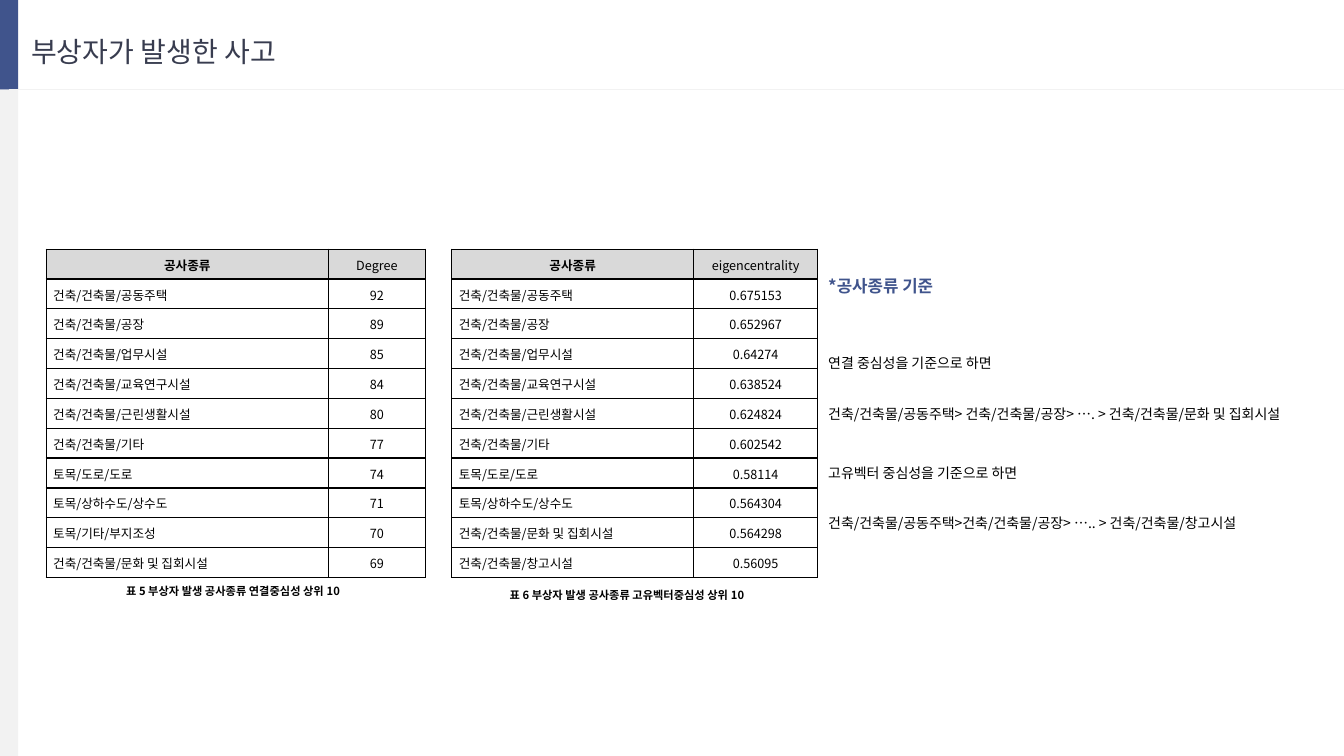
from lxml.etree import SubElement
from pptx import Presentation
from pptx.dml.color import RGBColor
from pptx.enum.shapes import MSO_CONNECTOR, MSO_SHAPE
from pptx.enum.text import MSO_ANCHOR, MSO_AUTO_SIZE, PP_ALIGN
from pptx.oxml.ns import qn
from pptx.util import Pt

FONT = "Noto Sans CJK KR"
NAVY, PALE, BLACK = "40548C", "F2F2F2", "000000"


def color(hex_value):
    return RGBColor.from_string(hex_value)


def style(paragraph, size, hex_value=BLACK, bold=False, align=PP_ALIGN.LEFT):
    """Format a paragraph, giving Korean text the same face as Latin text."""
    paragraph.alignment = align
    font = paragraph.font
    font.name, font.size, font.bold = FONT, Pt(size), bold
    font.color.rgb = color(hex_value)
    defaults = paragraph._p.get_or_add_pPr().get_or_add_defRPr()
    SubElement(defaults, qn("a:ea"), typeface=FONT)


prs = Presentation()
prs.slide_width, prs.slide_height = Pt(960), Pt(540)
slide = prs.slides.add_slide(prs.slide_layouts[5])
shapes = slide.shapes

# Side bar and header rule
for top, height, fill in [(0, 64, NAVY), (64, 476, PALE)]:
    bar = shapes.add_shape(MSO_SHAPE.RECTANGLE, 0, Pt(top), Pt(13), Pt(height))
    bar.shadow.inherit = False
    bar.fill.solid()
    bar.fill.fore_color.rgb = color(fill)
    bar.line.fill.background()

rule = shapes.add_connector(MSO_CONNECTOR.STRAIGHT, Pt(6.5), Pt(64), Pt(960), Pt(64))
rule.line.color.rgb = color(PALE)
rule.line.width = Pt(0.5)
SubElement(rule._element.spPr, qn("a:effectLst"))

# Title
title = shapes.title
title.left, title.top, title.width, title.height = Pt(15), Pt(21), Pt(210), Pt(31.5)
title.text_frame.text = "부상자가 발생한 사고"
title.text_frame.word_wrap = False
title.text_frame.auto_size = MSO_AUTO_SIZE.NONE
title.text_frame.vertical_anchor = MSO_ANCHOR.MIDDLE
style(title.text_frame.paragraphs[0], 20, "383C4F")

# Commentary: text, size, colour, bold, line height, space before
commentary = shapes.add_textbox(Pt(584.5), Pt(186.5), Pt(375), Pt(229)).text_frame
commentary.word_wrap = True
remarks = [
    ("*공사종류 기준", 12, NAVY, True, 21.5, 0),
    ("연결 중심성을 기준으로 하면", 10, BLACK, False, 18, 36),
    ("건축/건축물/공동주택> 건축/건축물/공장> …. > 건축/건축물/문화 및 집회시설",
     10, BLACK, False, 18, 18),
    ("고유벡터 중심성을 기준으로 하면", 10, BLACK, False, 18, 24),
    ("건축/건축물/공동주택>건축/건축물/공장> ….. > 건축/건축물/창고시설",
     10, BLACK, False, 18, 18),
]
for index, (text, size, hex_value, bold, line_height, gap) in enumerate(remarks):
    remark = commentary.add_paragraph() if index else commentary.paragraphs[0]
    remark.text = text
    remark.line_spacing, remark.space_before = Pt(line_height), Pt(gap)
    style(remark, size, hex_value, bold)

# Ranking tables: left, column widths, alignment of names, rows
shared = [
    "건축/건축물/공동주택", "건축/건축물/공장", "건축/건축물/업무시설",
    "건축/건축물/교육연구시설", "건축/건축물/근린생활시설", "건축/건축물/기타",
    "토목/도로/도로", "토목/상하수도/상수도",
]
culture = "건축/건축물/문화 및 집회시설"
degree_rows = list(zip(
    ["공사종류", *shared, "토목/기타/부지조성", culture],
    ["Degree", "92", "89", "85", "84", "80", "77", "74", "71", "70", "69"]))
eigen_rows = list(zip(
    ["공사종류", *shared, culture, "건축/건축물/창고시설"],
    ["eigencentrality", "0.675153", "0.652967", "0.64274", "0.638524", "0.624824",
     "0.602542", "0.58114", "0.564304", "0.564298", "0.56095"]))
rankings = [
    (33, (201.5, 69.5), PP_ALIGN.LEFT, degree_rows),
    (322.75, (172.5, 89), PP_ALIGN.JUSTIFY, eigen_rows),
]
ROW_HEIGHT = 21.34
for left, widths, name_align, rows in rankings:
    ranking = shapes.add_table(len(rows), 2, Pt(left), Pt(178), Pt(sum(widths)),
                               Pt(ROW_HEIGHT * len(rows))).table
    ranking.first_row = ranking.horz_banding = False
    for column, width in zip(ranking.columns, widths):
        column.width = Pt(width)
    for r, row in enumerate(rows):
        ranking.rows[r].height = Pt(ROW_HEIGHT)
        for c, text in enumerate(row):
            cell = ranking.cell(r, c)
            cell.text = text
            cell.vertical_anchor = MSO_ANCHOR.MIDDLE
            cell.margin_left = cell.margin_right = Pt(5)
            cell.margin_top = cell.margin_bottom = 0
            entry = cell.text_frame.paragraphs[0]
            entry.line_spacing = 1.07
            centred = r == 0 or c == 1
            style(entry, 9, bold=(r == 0 and c == 0),
                  align=PP_ALIGN.CENTER if centred else name_align)
            properties = cell._tc.get_or_add_tcPr()
            for side in ("lnL", "lnR", "lnT", "lnB"):
                border = SubElement(properties, qn(f"a:{side}"), w=str(Pt(1)))
                paint = SubElement(border, qn("a:solidFill"))
                SubElement(paint, qn("a:srgbClr"), val=BLACK)
            if r == 0:
                cell.fill.solid()
                cell.fill.fore_color.rgb = color("D9D9D9")
            else:
                cell.fill.background()

# Table captions
captions = [
    (83, 412.5, 193, "표 5 부상자 발생 공사종류 연결중심성 상위 10"),
    (357, 415.5, 211, "표 6 부상자 발생 공사종류 고유벡터중심성 상위 10"),
]
for left, top, width, text in captions:
    caption = shapes.add_textbox(Pt(left), Pt(top), Pt(width), Pt(19.5)).text_frame
    caption.word_wrap = True
    caption.vertical_anchor = MSO_ANCHOR.MIDDLE
    caption.text = text
    style(caption.paragraphs[0], 8, bold=True)

prs.save("out.pptx")
